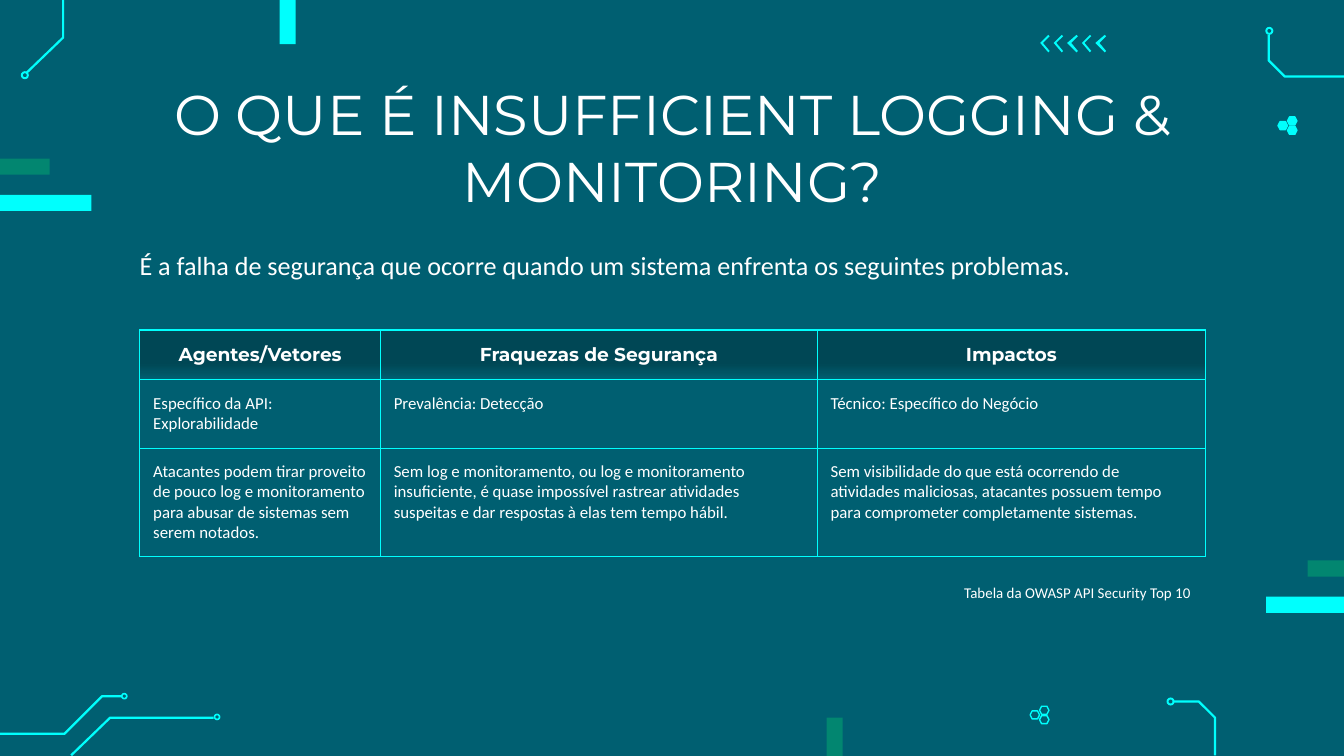
from dataclasses import dataclass
from typing import Optional

from lxml import etree
from pptx import Presentation
from pptx.dml.color import RGBColor
from pptx.enum.shapes import MSO_SHAPE
from pptx.enum.text import MSO_ANCHOR, PP_ALIGN
from pptx.oxml import parse_xml
from pptx.oxml.ns import nsdecls, qn
from pptx.util import Emu, Inches, Pt

RECTANGLE, DONUT, HEXAGON = MSO_SHAPE.RECTANGLE, MSO_SHAPE.DONUT, MSO_SHAPE.HEXAGON
LEFT, CENTER, RIGHT = PP_ALIGN.LEFT, PP_ALIGN.CENTER, PP_ALIGN.RIGHT
TOP, MIDDLE, BOTTOM = MSO_ANCHOR.TOP, MSO_ANCHOR.MIDDLE, MSO_ANCHOR.BOTTOM

COLORS = {"background": "005F71", "header": "004755", "cyan": "00FFFD",
          "green": "028670", "white": "FFFFFF", "shadow": "000000"}
HEADING, BODY = "Montserrat", "Calibri"

# All positions are columns and rows of a grid with 1000 columns across the slide.
WIDTH = Inches(10)
HEIGHT = WIDTH * 9 // 16
COLUMNS = 1000
CELL = WIDTH // COLUMNS
ROWS = HEIGHT / CELL
Point = tuple[float, float]


@dataclass(frozen=True)
class Box:
    left: float
    top: float
    width: float
    height: float

    def emu(self) -> list[Emu]:
        return [Emu(round(n * CELL)) for n in (self.left, self.top, self.width, self.height)]


@dataclass(frozen=True)
class Bar:
    box: Box
    color: str


@dataclass(frozen=True)
class Circuit:
    ring_center: Point
    ring_size: float
    track: list[Point]


@dataclass(frozen=True)
class TextStyle:
    font: str
    size: float
    align: PP_ALIGN = LEFT
    anchor: MSO_ANCHOR = TOP
    bold: bool = False
    hanging: bool = False
    shadow: bool = False


BAR = 12
BARS = [
    Bar(Box(942, 444, 58, BAR), "cyan"),
    Bar(Box(973, 417, 27, BAR), "green"),
    Bar(Box(0, 145, 68, BAR), "cyan"),
    Bar(Box(0, 118, 37, BAR), "green"),
    Bar(Box(208, 0, BAR, 33), "cyan"),
    Bar(Box(615, 534, BAR, ROWS - 534), "green"),
]
CIRCUITS = [
    Circuit((944.5, 23), 6, [(944, 26), (944, 45), (956.5, 57), (COLUMNS, 57)]),
    Circuit((161.5, 533.5), 5, [(159, 533.5), (82, 533.5), (53, ROWS)]),
    Circuit((92.5, 518), 5, [(91, 518.5), (76, 518.5), (47.5, 546), (0, 546)]),
    Circuit((18.5, 56), 6, [(20, 54.5), (47, 28), (47, 0)]),
    Circuit((871, 522), 6, [(873, 522), (892, 522), (904.5, 534), (904.5, ROWS)]),
]
CHEVRON = [(6.5, 13), (0, 6.5), (6.5, 0), (7.5, 1), (2.5, 6.5), (7.5, 11.5)]
CHEVRON_START, CHEVRON_STEP, CHEVRON_COUNT = (773.5, 26), 10.4, 5
HEXAGON_OFFSETS = [(7, 0), (0, 3.5), (7, 7)]

TITLE = TextStyle(HEADING, 30, CENTER)
SUBTITLE = TextStyle(BODY, 14, anchor=BOTTOM, hanging=True, shadow=True)
CAPTION = TextStyle(BODY, 8, RIGHT, hanging=True)
TABLE_HEADER = TextStyle(HEADING, 10, CENTER, MIDDLE, bold=True)
TABLE_BODY = TextStyle(BODY, 9)

TABLE_BOX = Box(104, 245.5, 793, 168)
TABLE_COLUMNS = [179, 325, 289]
TABLE_ROWS = [37, 51, 80]
TABLE_TEXT = [
    ["Agentes/Vetores", "Fraquezas de Segurança", "Impactos"],
    ["Específico da API: Explorabilidade", "Prevalência: Detecção",
     "Técnico: Específico do Negócio"],
    ["Atacantes podem tirar proveito de pouco log e monitoramento para abusar de "
     "sistemas sem serem notados.",
     "Sem log e monitoramento, ou log e monitoramento insuficiente, é quase impossível "
     "rastrear atividades suspeitas e dar respostas à elas tem tempo hábil.",
     "Sem visibilidade do que está ocorrendo de atividades maliciosas, atacantes possuem "
     "tempo para comprometer completamente sistemas."],
]


def rgb(name: str) -> RGBColor:
    return RGBColor.from_string(COLORS[name])


def paint(shape, fill: Optional[str], line: Optional[str] = None, width: float = 0.75) -> None:
    shape.shadow.inherit = False
    if fill:
        shape.fill.solid()
        shape.fill.fore_color.rgb = rgb(fill)
    else:
        shape.fill.background()
    if line:
        shape.line.color.rgb = rgb(line)
        shape.line.width = Pt(width)
    else:
        shape.line.fill.background()


def add_outline(slide, points: list[Point], closed: bool):
    builder = slide.shapes.build_freeform(*points[0], scale=float(CELL))
    builder.add_line_segments(points[1:], close=closed)
    return builder.convert_to_shape()


def add_circuit(slide, circuit: Circuit) -> None:
    (x, y), size = circuit.ring_center, circuit.ring_size
    ring = Box(x - size / 2, y - size / 2, size, size)
    paint(slide.shapes.add_shape(DONUT, *ring.emu()), "cyan")
    paint(add_outline(slide, circuit.track, closed=False), None, "cyan", 1.2)


def add_hexagons(slide, left: float, top: float, fill: Optional[str]) -> None:
    for x, y in HEXAGON_OFFSETS:
        hexagon = slide.shapes.add_shape(HEXAGON, *Box(left + x, top + y, 7, 6).emu())
        hexagon.adjustments[0] = 0.25
        paint(hexagon, fill, "cyan")


def add_chevrons(slide) -> None:
    left, top = CHEVRON_START
    for index in range(CHEVRON_COUNT):
        start = left + index * CHEVRON_STEP
        paint(add_outline(slide, [(start + x, top + y) for x, y in CHEVRON], closed=True), "cyan")


def write(frame, text: str, style: TextStyle) -> None:
    frame.word_wrap = True
    paragraph = frame.paragraphs[0]
    paragraph.alignment = style.align
    if style.hanging:
        paragraph.line_spacing = 1.15
        properties = paragraph._p.get_or_add_pPr()
        properties.set("marL", str(Inches(0.5)))
        properties.set("indent", str(Inches(-0.35)))
    run = paragraph.add_run()
    run.text = text
    run.font.name, run.font.size, run.font.bold = style.font, Pt(style.size), style.bold
    run.font.color.rgb = rgb("white")
    if style.shadow:
        run.font.fill._xPr.find(qn("a:solidFill")).addnext(parse_xml(
            f'<a:effectLst {nsdecls("a")}><a:outerShdw blurRad="38100" dist="38100" dir="2700000">'
            f'<a:srgbClr val="{COLORS["shadow"]}"><a:alpha val="60000"/></a:srgbClr>'
            '</a:outerShdw></a:effectLst>'))


def add_text(slide, box: Box, text: str, style: TextStyle, inset: float = 0.1) -> None:
    frame = slide.shapes.add_textbox(*box.emu()).text_frame
    frame.margin_left = frame.margin_right = Inches(0.1)
    frame.margin_top = frame.margin_bottom = Inches(inset)
    frame.vertical_anchor = style.anchor
    write(frame, text, style)


def finish_cell(cell, header: bool) -> None:
    """Give a cell its four borders and its fill."""
    properties = cell._tc.get_or_add_tcPr()
    for side in ("lnL", "lnR", "lnT", "lnB"):
        line = etree.SubElement(properties, qn(f"a:{side}"), w=str(Pt(0.75)))
        fill = etree.SubElement(line, qn("a:solidFill"))
        etree.SubElement(fill, qn("a:srgbClr"), val=COLORS["cyan"])
    if not header:
        cell.fill.solid()
        cell.fill.fore_color.rgb = rgb("background")
        return
    gradient = etree.SubElement(properties, qn("a:gradFill"))
    stops = etree.SubElement(gradient, qn("a:gsLst"))
    for position, color in ((0, "background"), (33, "header"), (97, "header")):
        stop = etree.SubElement(stops, qn("a:gs"), pos=str(position * 1000))
        etree.SubElement(stop, qn("a:srgbClr"), val=COLORS[color])
    etree.SubElement(gradient, qn("a:lin"), ang=str(270 * 60000), scaled="0")


def add_risk_table(slide) -> None:
    table = slide.shapes.add_table(len(TABLE_ROWS), len(TABLE_COLUMNS), *TABLE_BOX.emu()).table
    table.horz_banding = False
    for column, width in zip(table.columns, TABLE_COLUMNS):
        column.width = Emu(width * CELL)
    for index, (row, height) in enumerate(zip(table.rows, TABLE_ROWS)):
        row.height = Emu(height * CELL)
        style = TABLE_BODY if index else TABLE_HEADER
        for cell, text in zip(row.cells, TABLE_TEXT[index]):
            cell.margin_left = cell.margin_right = Inches(0.1)
            cell.margin_top = cell.margin_bottom = Inches(0.1)
            cell.vertical_anchor = style.anchor
            write(cell.text_frame, text, style)
            finish_cell(cell, header=index == 0)


def main() -> None:
    presentation = Presentation()
    presentation.slide_width, presentation.slide_height = WIDTH, HEIGHT
    slide = presentation.slides.add_slide(presentation.slide_layouts[6])
    slide.background.fill.solid()
    slide.background.fill.fore_color.rgb = rgb("background")

    add_hexagons(slide, 951, 87, "cyan")
    add_hexagons(slide, 766.5, 525.5, None)
    add_chevrons(slide)
    for bar in BARS:
        paint(slide.shapes.add_shape(RECTANGLE, *bar.box.emu()), bar.color)
    for circuit in CIRCUITS:
        add_circuit(slide, circuit)

    add_risk_table(slide)
    add_text(slide, Box(663, 427, 233, 26), "Tabela da OWASP API Security Top 10", CAPTION, 0.05)
    add_text(slide, Box(79, 49, 843, 63), "O QUE É INSUFFICIENT LOGGING & MONITORING?", TITLE)
    add_text(slide, Box(79, 171, 843, 48),
             "É a falha de segurança que ocorre quando um sistema enfrenta os seguintes problemas.",
             SUBTITLE)
    presentation.save("out.pptx")


if __name__ == "__main__":
    main()
